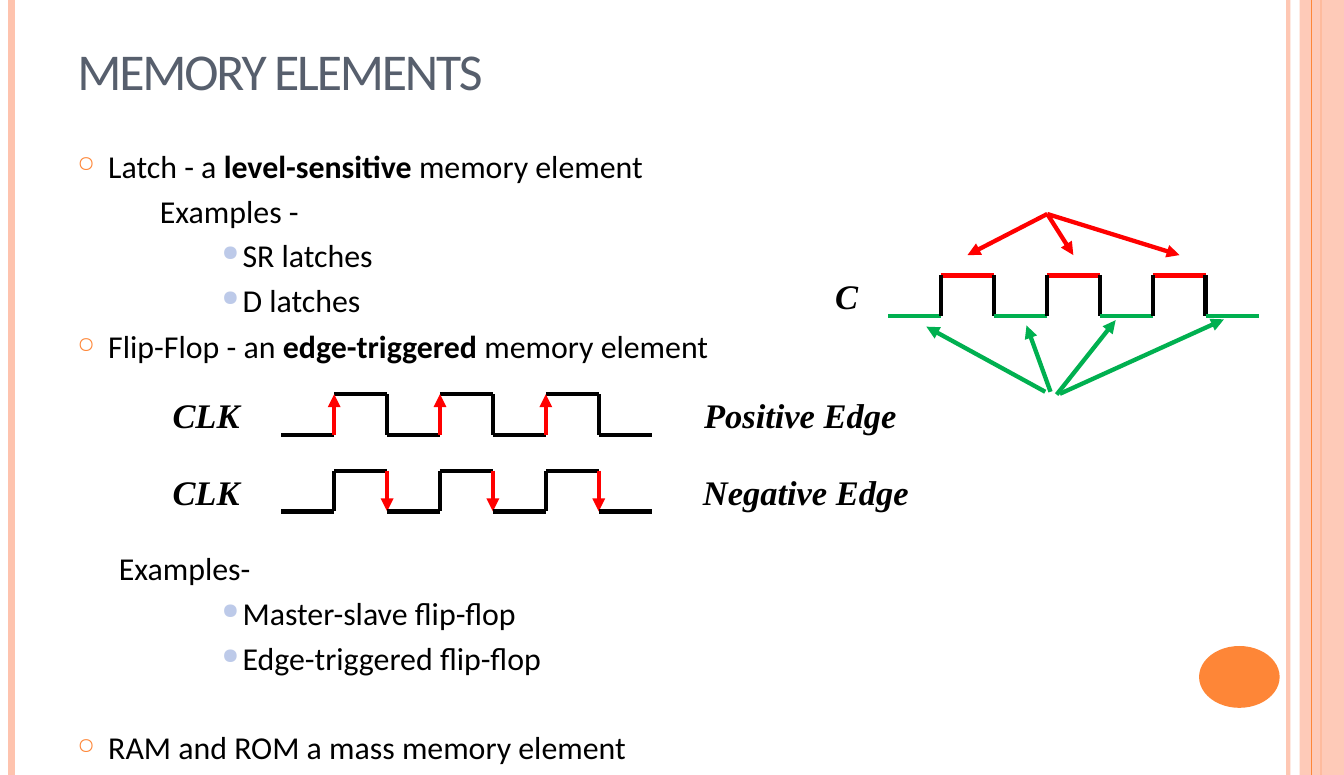
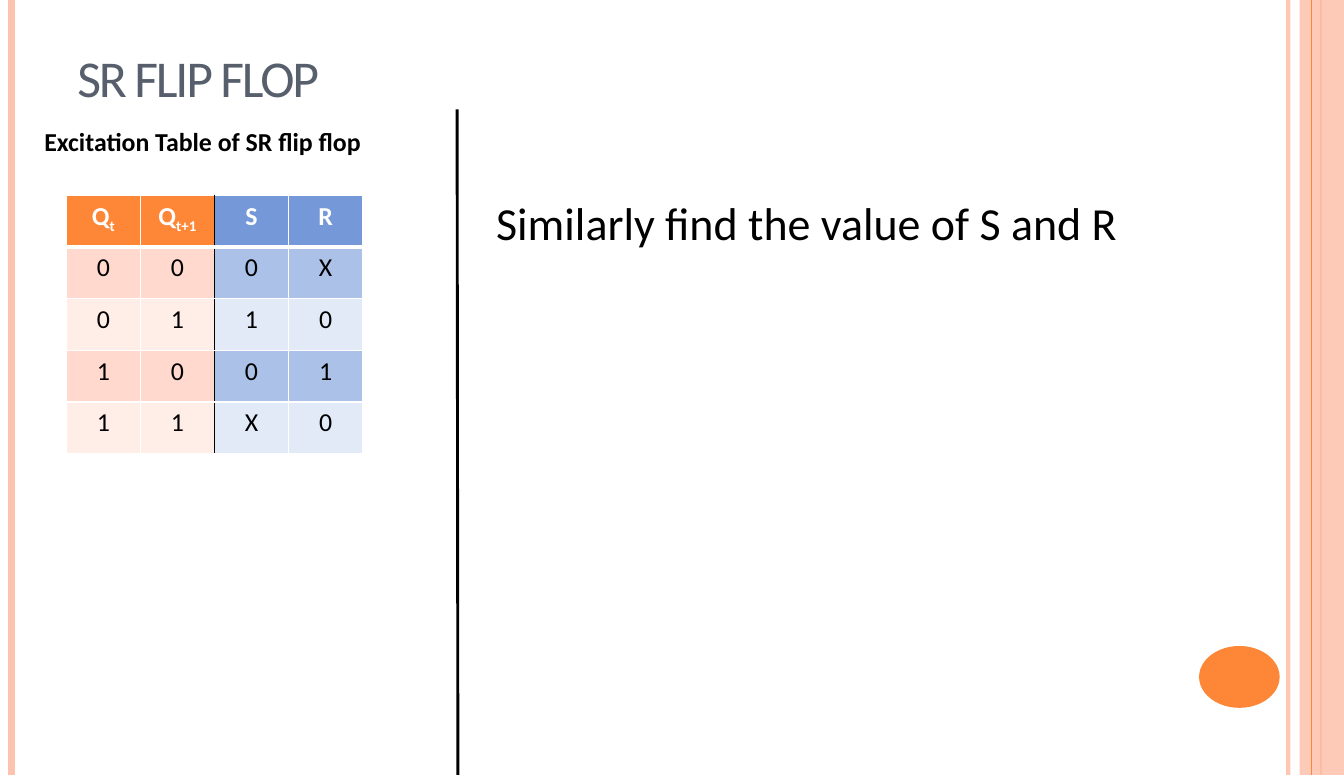
from lxml import etree
from pptx import Presentation
from pptx.dml.color import RGBColor
from pptx.enum.shapes import MSO_CONNECTOR, MSO_SHAPE
from pptx.enum.text import MSO_ANCHOR, PP_ALIGN
from pptx.oxml.ns import qn
from pptx.util import Cm, Pt

STRAIGHT = MSO_CONNECTOR.STRAIGHT
RECTANGLE, OVAL = MSO_SHAPE.RECTANGLE, MSO_SHAPE.OVAL
BOTTOM, TOP = MSO_ANCHOR.BOTTOM, MSO_ANCHOR.TOP
CENTER = PP_ALIGN.CENTER

COLORS = {
    "black": "000000", "white": "FFFFFF", "title": "575F6D",
    "orange": "FE8637", "peach": "FEC3AE", "blue": "7598D9",
    "pale_blue": "BDCAE9", "red": "FF0000", "green": "00B050",
    "orange_dark": "FFD9CE", "orange_light": "FFEDE8",
    "blue_dark": "ACC1E8", "blue_light": "E3EAF7",
}
WIDTH, HEIGHT = 33.02, 19.05
SANS, SERIF = "Calibri", "Times New Roman"

# Shared frame: x, colour, points, opacity in percent
RAILS = [(31.65, "peach", 3, 93), (0.28, "peach", 4.5, 100), (32.46, "orange", 1.5, 100)]
BAND_RAIL = (32.21, "orange", 0.75, 100)
BAND = (31.93, 0, 1.09, HEIGHT)
BADGE = (29.46, 15.88, 1.98, 1.52)

# Slide 1: outline levels and lines (level, text, space before if special)
LEVELS = {
    "topic": dict(indent=0.76, hang=0.76, before=6, bullet=("○", "orange", 70)),
    "latch_note": dict(indent=2.54, hang=0.51, before=4.4),
    "flip_note": dict(indent=1.78, hang=0.76, before=128),
    "example": dict(indent=4.06, hang=0.51, before=4.4, bullet=("●", "pale_blue", 68)),
    "last_topic": dict(indent=0.76, hang=0.76, before=36, bullet=("○", "orange", 70)),
}
OUTLINE = [
    ("topic", [("Latch - a ", ""), ("level-sensitive", "bold"), (" memory element", "")]),
    ("latch_note", "Examples -"),
    ("example", "SR latches"),
    ("example", "D latches"),
    ("topic", [("Flip-Flop - an ", ""), ("edge-triggered", "bold"), (" memory element", "")]),
    ("flip_note", "Examples-"),
    ("example", "Master-slave flip-flop"),
    ("example", "Edge-triggered flip-flop"),
    ("last_topic", "RAM and ROM a mass memory element"),
]

# Clock waves: colours of each part, the edge with an arrow, labels (text, x, width)
STEP, RISE, PULSES = 1.3, 1.0, 3
WAVES = [
    dict(left=21.82, base=7.77, low="green", high="red", active=None,
         labels=[("C", 20.52, 0.8)]),
    dict(left=6.91, base=10.69, low="black", high="black", active="rise",
         labels=[("CLK", 4.24, 1.8), ("Positive Edge", 17.3, 6.5)]),
    dict(left=6.91, base=12.57, low="black", high="black", active="fall",
         labels=[("CLK", 4.24, 1.8), ("Negative Edge", 17.27, 5.3)]),
]
LEVEL_POINTERS = [
    ("red", (25.73, 5.26), (23.77, 6.27)),
    ("red", (25.73, 5.26), (26.37, 6.27)),
    ("red", (25.73, 5.26), (28.98, 6.27)),
    ("green", (25.68, 9.63), (22.76, 8.03)),
    ("green", (25.81, 9.63), (25.22, 8.0)),
    ("green", (26.04, 9.68), (30.07, 7.85)),
    ("green", (25.96, 9.7), (27.41, 7.87)),
]

# Slide 2: excitation table
EXCITATION = [
    [[("Q", ""), ("t", "sub")], [("Q", ""), ("t+1", "sub")], "S", "R"],
    ["0", "0", "0", "X"],
    ["0", "1", "1", "0"],
    ["1", "0", "0", "1"],
    ["1", "1", "X", "0"],
]
STATE_COLUMNS = 2
COLUMN, ROW = 1.82, 1.27


def rgb(name):
    return RGBColor.from_string(COLORS[name])


def add_xml(parent, tag, **attributes):
    return etree.SubElement(parent, qn(tag), attributes)


def write(frame, text, size=18, color="black", font=SANS, bold=False, italic=False,
          align=None, indent=0, hang=0, before=0, bullet=None, tracking=0):
    """Add one paragraph; text is a string or a list of (text, style) runs."""
    paragraph = frame.paragraphs[0]
    if paragraph.runs:
        paragraph = frame.add_paragraph()
    paragraph.alignment = align
    paragraph.space_before = Pt(before)
    properties = paragraph._p.get_or_add_pPr()
    properties.set("marL", str(Cm(indent)))
    properties.set("indent", str(Cm(-hang) if bullet else 0))
    if bullet:
        mark, mark_color, percent = bullet
        add_xml(add_xml(properties, "a:buClr"), "a:srgbClr", val=COLORS[mark_color])
        add_xml(properties, "a:buSzPct", val=str(percent * 1000))
        add_xml(properties, "a:buChar", char=mark)
    else:
        properties.set("marL", str(Cm(indent - hang)))
        add_xml(properties, "a:buNone")
    for words, style in [(text, "")] if isinstance(text, str) else text:
        run = paragraph.add_run()
        run.text = words
        run.font.name, run.font.size = font, Pt(size)
        run.font.bold = bold or style == "bold"
        run.font.italic = italic
        run.font.color.rgb = rgb(color)
        if tracking:
            run._r.get_or_add_rPr().set("spc", str(tracking))
        if style == "sub":
            run._r.get_or_add_rPr().set("baseline", "-25000")


def text_frame(shapes, left, top, width, height, inset=True, anchor=TOP):
    frame = shapes.add_textbox(Cm(left), Cm(top), Cm(width), Cm(height)).text_frame
    frame.word_wrap = True
    frame.vertical_anchor = anchor
    if not inset:
        frame.margin_left = frame.margin_right = frame.margin_top = frame.margin_bottom = 0
    return frame


def set_opacity(properties, percent):
    if percent < 100:
        add_xml(next(properties.iter(qn("a:srgbClr"))), "a:alpha", val=str(percent * 1000))


def add_line(shapes, start, end, color="black", points=3, arrow=False, opacity=100):
    line = shapes.add_connector(STRAIGHT, *(Cm(value) for value in (*start, *end)))
    line.line.color.rgb = rgb(color)
    line.line.width = Pt(points)
    properties = line._element.spPr
    set_opacity(properties, opacity)
    if arrow:
        add_xml(properties.find(qn("a:ln")), "a:tailEnd", type="triangle")
    add_xml(properties, "a:effectLst")


def add_block(shapes, kind, box, color, opacity=100):
    block = shapes.add_shape(kind, *(Cm(value) for value in box))
    block.shadow.inherit = False
    block.fill.solid()
    block.fill.fore_color.rgb = rgb(color)
    block.line.fill.background()
    set_opacity(block._element.spPr, opacity)


def add_rail(shapes, x, color, points, opacity):
    add_line(shapes, (x, 0), (x, HEIGHT), color, points, opacity=opacity)


def start_slide(deck, title, title_height):
    slide = deck.slides.add_slide(deck.slide_layouts[6])
    slide.background.fill.solid()
    slide.background.fill.fore_color.rgb = rgb("white")
    shapes = slide.shapes
    for rail in RAILS:
        add_rail(shapes, *rail)
    add_block(shapes, RECTANGLE, BAND, "peach", 87)
    add_rail(shapes, *BAND_RAIL)
    add_block(shapes, OVAL, BADGE, "orange")
    frame = text_frame(shapes, 1.65, 0.76, 27.79, title_height, anchor=BOTTOM)
    write(frame, title, size=36, color="title", tracking=-150)
    return shapes


def add_wave(shapes, left, base, low, high, active, labels):
    wave = shapes.add_group_shape().shapes
    top = base - RISE
    for pulse in range(PULSES + 1):
        x = left + 2 * STEP * pulse
        up, down = x + STEP, x + 2 * STEP
        add_line(wave, (x, base), (up, base), low)
        if pulse == PULSES:
            break
        edges = {"rise": ((up, base), (up, top)), "fall": ((down, top), (down, base))}
        add_line(wave, (up, top), (down, top), high)
        for edge, (start, end) in edges.items():
            triggers = edge == active
            add_line(wave, start, end, "red" if triggers else "black", arrow=triggers)
    for label, x, width in labels:
        write(text_frame(wave, x, top, width, 1.02, inset=False), label,
              size=24, font=SERIF, bold=True, italic=True)


def set_borders(cell, **sides):
    """Each side is (colour, points); borders go before the cell fill."""
    properties = cell._tc.get_or_add_tcPr()
    for position, side in enumerate("LRTB"):
        color, points = sides[side]
        border = etree.Element(qn(f"a:ln{side}"), w=str(Pt(points)))
        add_xml(add_xml(border, "a:solidFill"), "a:srgbClr", val=COLORS[color])
        properties.insert(position, border)


def add_excitation_table(shapes, left, top):
    rows, columns = len(EXCITATION), len(EXCITATION[0])
    table = shapes.add_table(rows, columns, Cm(left), Cm(top),
                             Cm(COLUMN * columns), Cm(ROW * rows)).table
    for column in table.columns:
        column.width = Cm(COLUMN)
    for r, values in enumerate(EXCITATION):
        table.rows[r].height = Cm(ROW)
        shade = "" if r == 0 else "_dark" if r % 2 else "_light"
        for c, value in enumerate(values):
            cell = table.cell(r, c)
            cell.fill.solid()
            cell.fill.fore_color.rgb = rgb(("orange" if c < STATE_COLUMNS else "blue") + shade)
            write(cell.text_frame, value, color="black" if r else "white",
                  bold=r == 0, align=CENTER)
            set_borders(cell,
                        L=("black" if c == STATE_COLUMNS else "white", 1),
                        R=("black" if c == STATE_COLUMNS - 1 else "white", 1),
                        T=("white", 3 if r == 1 else 1),
                        B=("white", 3 if r == 0 else 1))


def memory_elements(deck):
    shapes = start_slide(deck, "MEMORY ELEMENTS", 1.85)
    outline = text_frame(shapes, 1.65, 3.48, 27.79, 15.57)
    for level, text in OUTLINE:
        write(outline, text, size=22.2, **LEVELS[level])
    for wave in WAVES:
        add_wave(shapes, **wave)
    for color, start, end in LEVEL_POINTERS:
        add_line(shapes, start, end, color, arrow=True)


def sr_flip_flop(deck):
    shapes = start_slide(deck, "SR FLIP FLOP", 2.01)
    add_line(shapes, (11.23, 2.69), (11.25, HEIGHT), points=2)
    write(text_frame(shapes, 0.84, 2.97, 9.93, 1.02),
          "Excitation Table of SR flip flop", bold=True)
    add_excitation_table(shapes, 1.63, 4.8)
    write(text_frame(shapes, 11.94, 4.67, 16.26, 1.63),
          "Similarly find the value of S and R", size=32)


def main():
    deck = Presentation()
    deck.slide_width, deck.slide_height = Cm(WIDTH), Cm(HEIGHT)
    memory_elements(deck)
    sr_flip_flop(deck)
    deck.save("out.pptx")


if __name__ == "__main__":
    main()
